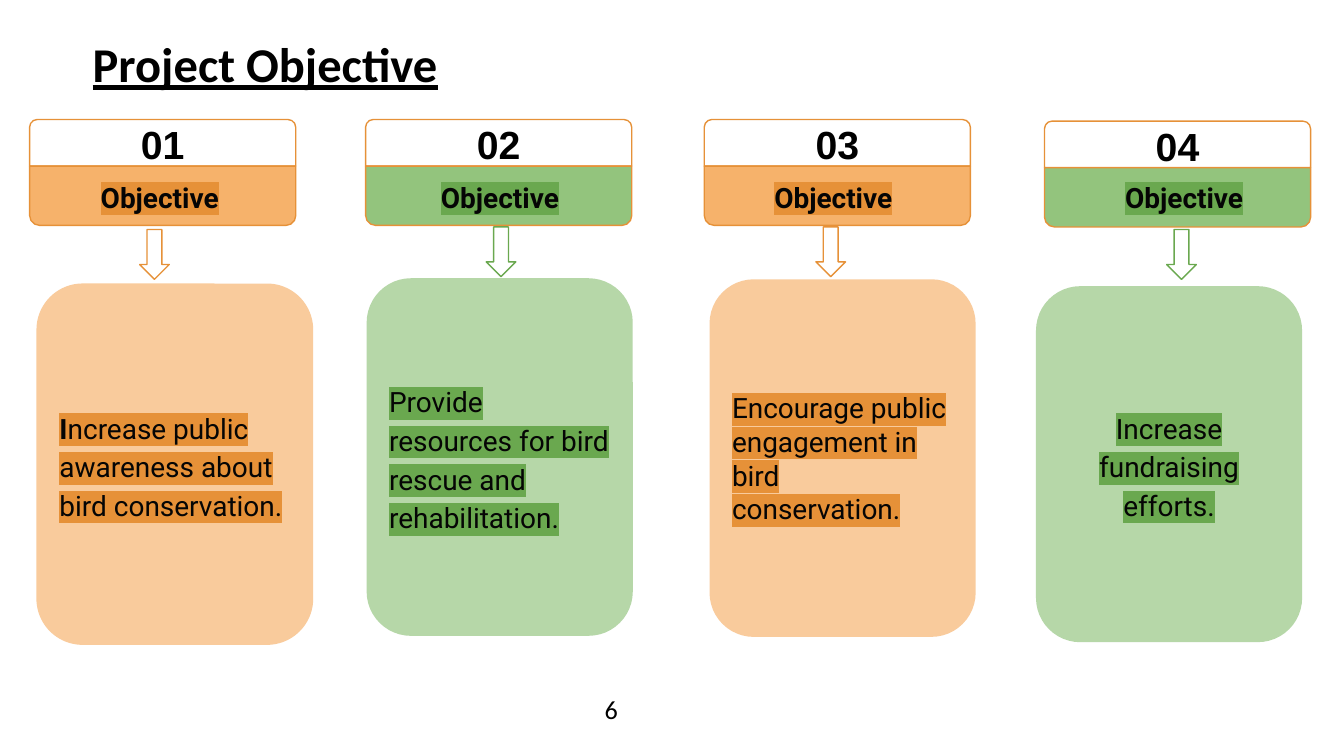
from pptx import Presentation
from pptx.dml.color import RGBColor
from pptx.enum.shapes import MSO_SHAPE
from pptx.enum.text import MSO_ANCHOR, MSO_AUTO_SIZE, PP_ALIGN
from pptx.oxml.ns import qn
from pptx.util import Cm, Pt
from lxml import etree

TAB = MSO_SHAPE.ROUND_2_SAME_RECTANGLE
CARD = MSO_SHAPE.ROUNDED_RECTANGLE
ARROW = MSO_SHAPE.DOWN_ARROW
LEFT, CENTER = PP_ALIGN.LEFT, PP_ALIGN.CENTER
MIDDLE, TOP = MSO_ANCHOR.MIDDLE, MSO_ANCHOR.TOP
GROW = MSO_AUTO_SIZE.SHAPE_TO_FIT_TEXT

INK, BLACK = "050505", "000000"
ORANGE, GREEN = "E69138", "6AA84F"
# Main colour: (tab fill, card fill)
TINTS = {ORANGE: ("F6B26B", "F9CB9C"), GREEN: ("93C47D", "B6D7A8")}

# Tab left and top, label left, arrow place, card box, card text and its format
STEPS = [
    (0.56, 2.26, 0.99, (2.64, 4.34), (0.69, 5.36, 5.23, 6.83),
     [("I", True), ("ncrease public awareness about bird conservation.", False)],
     {"before": 11}),
    (6.91, 2.26, 7.42, (9.19, 4.29), (6.93, 5.26, 5.03, 6.76),
     "Provide resources for bird rescue and rehabilitation.", {}),
    (13.31, 2.26, 13.72, (15.42, 4.29), (13.41, 5.28, 5.03, 6.76),
     "Encourage public engagement in bird conservation.", {"gap": 1.0}),
    (19.74, 2.29, 20.35, (22.05, 4.34), (19.58, 5.41, 5.03, 6.73),
     "Increase fundraising efforts.", {"align": CENTER}),
]


def color(code):
    return RGBColor.from_string(code)


def mark(run, code):
    """Highlight a run; the element has to follow the font fill."""
    fill = run.font.fill._xPr.find(qn("a:solidFill"))
    light = etree.Element(qn("a:highlight"))
    etree.SubElement(light, qn("a:srgbClr"), val=code)
    fill.addnext(light)


def write(shape, text, size=15, font="Roboto", ink=INK, bold=False, line=False,
          glow=None, align=LEFT, anchor=MIDDLE, gap=1.0, before=0, pad=0.18):
    """Fill a shape with text, given as a string or as (text, bold) pairs."""
    frame = shape.text_frame
    frame.word_wrap = True
    frame.vertical_anchor = anchor
    frame.margin_left = frame.margin_right = Cm(0.18)
    frame.margin_top = frame.margin_bottom = Cm(pad)
    para = frame.paragraphs[0]
    para.alignment = align
    para.line_spacing = gap
    para.space_before = Pt(before)
    pairs = [(text, bold)] if isinstance(text, str) else text
    for part, heavy in pairs:
        run = para.add_run()
        run.text = part
        run.font.size = Pt(size)
        run.font.name = font
        run.font.bold = heavy
        run.font.underline = line
        run.font.color.rgb = color(ink)
        if glow:
            mark(run, glow)


def add_box(slide, kind, box, fill=None, edge=None):
    shape = slide.shapes.add_shape(kind, *map(Cm, box))
    shape.shadow.inherit = False
    if fill:
        shape.fill.solid()
        shape.fill.fore_color.rgb = color(fill)
    else:
        shape.fill.background()
    if edge:
        shape.line.color.rgb = color(edge)
        shape.line.width = Pt(0.75)
    else:
        shape.line.fill.background()
    return shape


def add_text(slide, box, text, grow=True, **style):
    shape = slide.shapes.add_textbox(*map(Cm, box))
    write(shape, text, anchor=TOP, **style)
    if grow:
        shape.text_frame.auto_size = GROW


def add_head(slide, num, left, top, label, hue):
    """Number tab above a coloured tab with its label."""
    upper = add_box(slide, TAB, (left, top, 5.03, 0.88), edge=ORANGE)
    write(upper, f"{num:02d}", size=21, font="Arial", ink=BLACK, bold=True,
          align=CENTER)
    lower = add_box(slide, TAB, (left, top + 0.88, 5.03, 1.12),
                    TINTS[hue][0], ORANGE)
    lower.rotation = 180
    add_text(slide, (label, 3.23, 4.06, 1.02), "Objective", bold=True,
             glow=hue, align=CENTER)


def main():
    deck = Presentation()
    deck.slide_width, deck.slide_height = Cm(25.4), Cm(14.29)
    slide = deck.slides.add_slide(deck.slide_layouts[6])

    # Page number and title
    add_text(slide, (11.25, 13, 1.14, 0.76), "6", grow=False, size=14,
             font="Calibri", ink=BLACK, pad=0.1)
    add_text(slide, (1.57, 0.3, 9.04, 1.5), "Project Objective", size=26,
             font="Calibri", ink=BLACK, bold=True, line=True, gap=1.15)

    # Four objectives in alternating colours
    for num, step in enumerate(STEPS, 1):
        left, top, label, spot, box, text, style = step
        hue = ORANGE if num % 2 else GREEN
        add_head(slide, num, left, top, label, hue)
        add_box(slide, ARROW, (*spot, 0.56, 0.94), edge=hue)
        card = add_box(slide, CARD, box, TINTS[hue][1])
        write(card, text, glow=hue, **{"gap": 1.15, **style})

    deck.save("out.pptx")


if __name__ == "__main__":
    main()
